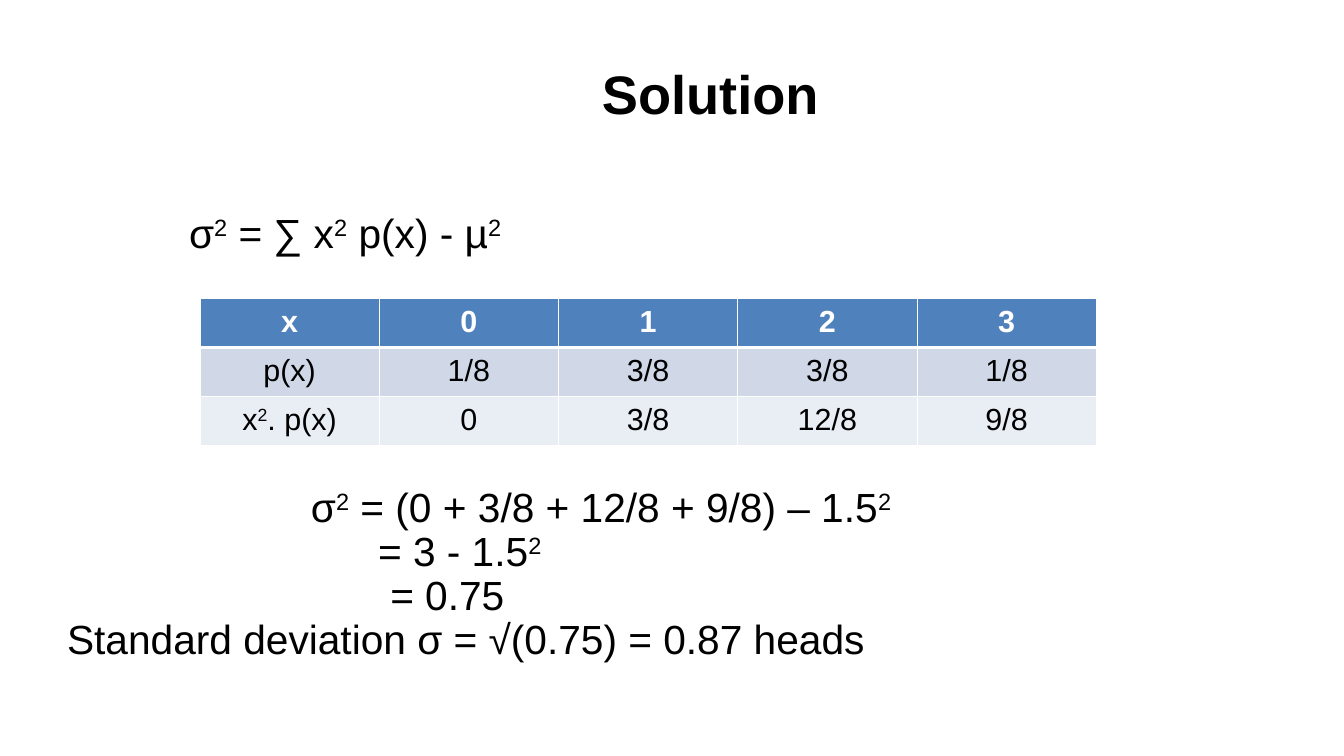
from lxml import etree
from pptx import Presentation
from pptx.dml.color import RGBColor
from pptx.enum.text import MSO_ANCHOR, PP_ALIGN
from pptx.oxml.ns import qn
from pptx.util import Inches, Pt

CENTER = PP_ALIGN.CENTER
LEFT = PP_ALIGN.LEFT
MIDDLE = MSO_ANCHOR.MIDDLE
TOP = MSO_ANCHOR.TOP
BLACK, WHITE = "000000", "FFFFFF"


def write(paragraph, text, size, color=BLACK, bold=False, alignment=LEFT):
    """Fill a paragraph; parts between ^ marks are superscript."""
    paragraph.alignment = alignment
    for index, part in enumerate(text.split("^")):
        if not part:
            continue
        run = paragraph.add_run()
        run.text = part
        run.font.name = "Arial"
        run.font.size = Pt(size)
        run.font.bold = bold
        run.font.color.rgb = RGBColor.from_string(color)
        if index % 2:
            run.font._element.set("baseline", "30000")


def add_text_frame(left, top, width, height, anchor):
    box = slide.shapes.add_textbox(Inches(left), Inches(top), Inches(width), Inches(height))
    frame = box.text_frame
    frame.word_wrap = True
    frame.vertical_anchor = anchor
    frame.margin_left = frame.margin_right = frame.margin_top = frame.margin_bottom = 0
    return frame


presentation = Presentation()
presentation.slide_width = Inches(11.02)
presentation.slide_height = Inches(6.2)
slide = presentation.slides.add_slide(presentation.slide_layouts[6])

# Title
title = add_text_frame(1.18, 0.25, 9.29, 1.03, MIDDLE)
write(title.paragraphs[0], "Solution", 32, bold=True, alignment=CENTER)

# Formula above the table, calculation below it: text, indent in inches, space before in points
body = add_text_frame(0.55, 1.75, 9.92, 3.97, TOP)
body_lines = [
    ("σ^2^ = ∑ x^2^ p(x) - µ^2^", 1, 0),
    ("σ^2^ = (0 + 3/8 + 12/8 + 9/8) – 1.5^2^", 2, 136),
    ("= 3 - 1.5^2^", 2.55, 0),
    ("= 0.75", 2.65, 0),
    ("Standard deviation σ = √(0.75) = 0.87 heads", 0, 0),
]
for index, (text, indent, space_before) in enumerate(body_lines):
    paragraph = body.add_paragraph() if index else body.paragraphs[0]
    properties = paragraph._p.get_or_add_pPr()
    properties.set("marL", str(Inches(indent)))
    properties.set("indent", "0")
    paragraph.line_spacing = 0.9
    if space_before:
        paragraph.space_before = Pt(space_before)
    write(paragraph, text, 24)

# Probability table
rows = [
    ["x", "0", "1", "2", "3"],
    ["p(x)", "1/8", "3/8", "3/8", "1/8"],
    ["x^2^. p(x)", "0", "3/8", "12/8", "9/8"],
]
row_fills = ["4F81BD", "D0D8E8", "E9EDF4"]
table = slide.shapes.add_table(
    len(rows), len(rows[0]), Inches(1.64), Inches(2.45), Inches(7.35), Inches(1.15)
).table
for row_index, (values, fill) in enumerate(zip(rows, row_fills)):
    is_header = row_index == 0
    border_widths = {
        "a:lnL": 0.45,
        "a:lnR": 0.45,
        "a:lnT": 1.47 if row_index == 1 else 0.45,
        "a:lnB": 1.47 if is_header else 0.45,
    }
    for column_index, value in enumerate(values):
        cell = table.cell(row_index, column_index)
        cell.margin_left = cell.margin_right = Inches(0.11)
        cell.margin_top = cell.margin_bottom = Inches(0.05)
        write(cell.text_frame.paragraphs[0], value, 18,
              WHITE if is_header else BLACK, is_header, CENTER)
        cell_properties = cell._tc.get_or_add_tcPr()
        for tag, width in border_widths.items():
            line = etree.SubElement(cell_properties, qn(tag), w=str(Pt(width)))
            line_fill = etree.SubElement(line, qn("a:solidFill"))
            etree.SubElement(line_fill, qn("a:srgbClr"), val=WHITE)
        cell.fill.solid()
        cell.fill.fore_color.rgb = RGBColor.from_string(fill)

presentation.save("out.pptx")
